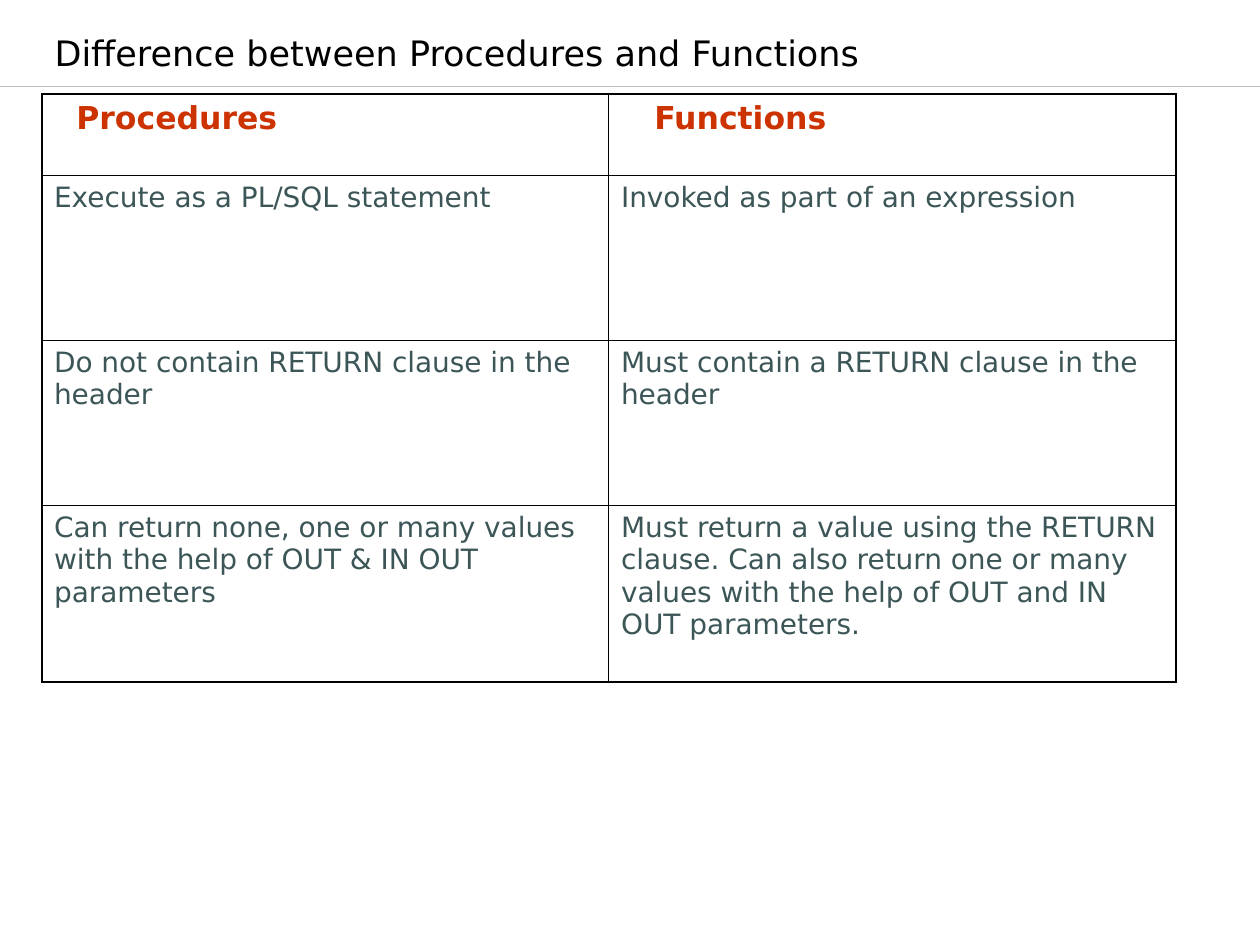
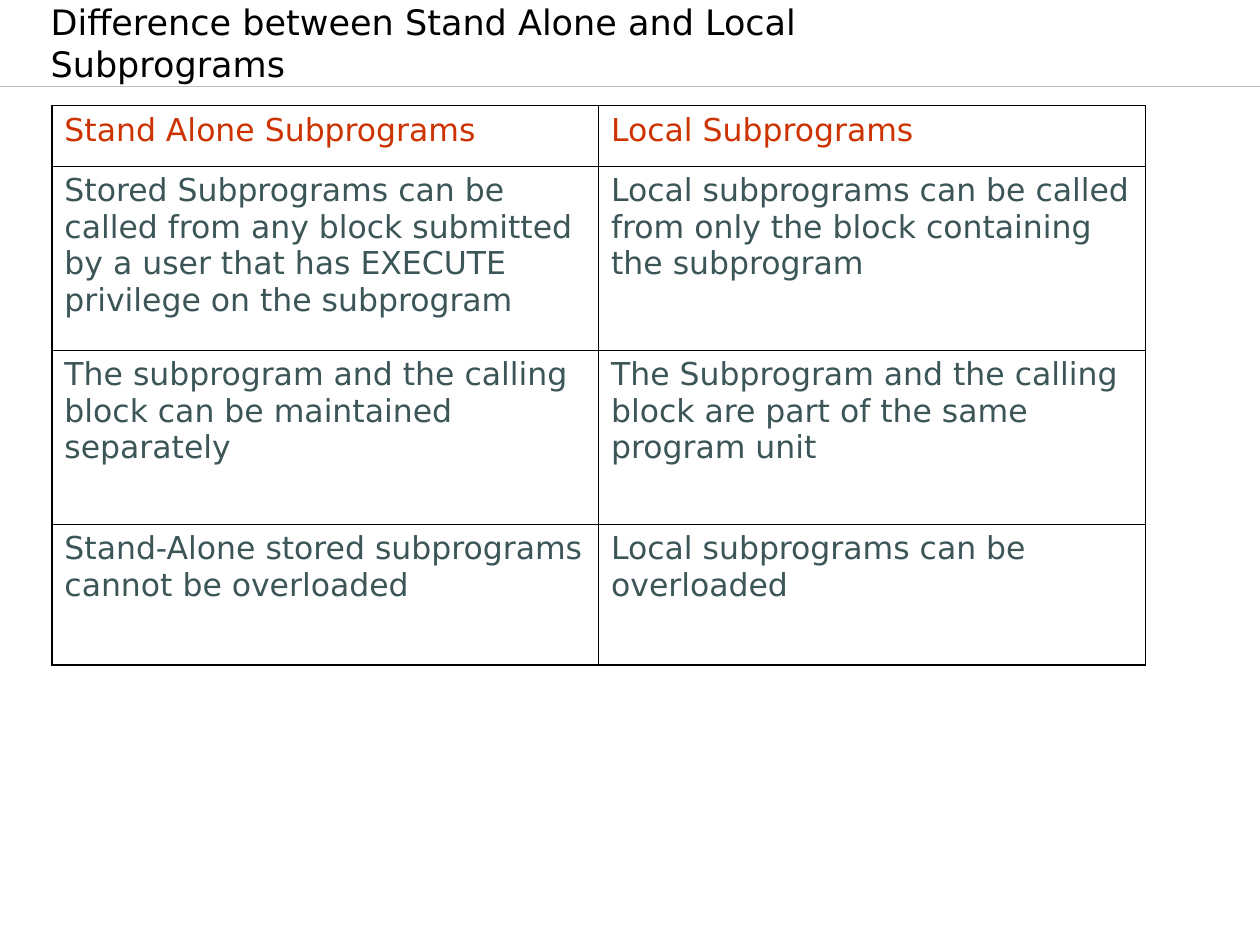
from lxml import etree
from pptx import Presentation
from pptx.dml.color import RGBColor
from pptx.enum.text import MSO_ANCHOR, MSO_AUTO_SIZE, PP_ALIGN
from pptx.enum.shapes import MSO_CONNECTOR
from pptx.oxml.ns import qn
from pptx.util import Cm, Pt

LEFT = PP_ALIGN.LEFT
BOTTOM = MSO_ANCHOR.BOTTOM
NO_FIT = MSO_AUTO_SIZE.NONE
STRAIGHT = MSO_CONNECTOR.STRAIGHT

FONT = "DejaVu Sans"
BLACK, RED, SLATE, SILVER = "000000", "CC3300", "3C5658", "C0C0C0"
OUTER, INNER = Pt(1.08), Pt(0.45)
TITLE_FRAME = {
    "margin_left": Cm(1.02), "margin_right": Cm(0.25),
    "margin_top": Cm(0.13), "margin_bottom": Cm(0.13),
    "vertical_anchor": BOTTOM, "word_wrap": True, "auto_size": NO_FIT,
}

SLIDES = [
    {
        "title": "Difference between Procedures and Functions",
        "title_at": (0.08, 0.43),
        "table_at": (0.84, 1.9),
        "col_width": 11.43,
        "row_heights": [1.63, 3.33, 3.33, 3.56],
        "head_indents": [0.45, 0.67],
        "head_bold": True,
        "body_size": 16,
        "rows": [
            ["Procedures", "Functions"],
            ["Execute as a PL/SQL statement", "Invoked as part of an expression"],
            ["Do not contain RETURN clause in the header",
             "Must contain a RETURN clause in the header"],
            ["Can return none, one or many values with the help of OUT & IN OUT parameters",
             "Must return a value using the RETURN clause. Can also return one or many "
             "values with the help of OUT and IN OUT parameters."],
        ],
    },
    {
        "title": "Difference between Stand Alone and Local Subprograms",
        "title_at": (0, 0.64),
        "table_at": (1.05, 2.13),
        "col_width": 11.02,
        "row_heights": [1.22, 3.71, 3.51, 2.84],
        "head_indents": [0, 0],
        "head_bold": False,
        "body_size": 18,
        "rows": [
            ["Stand Alone Subprograms", "Local Subprograms"],
            ["Stored Subprograms can be called from any block submitted by a user "
             "that has EXECUTE privilege on the subprogram",
             "Local subprograms can be called from only the block containing the subprogram"],
            ["The subprogram and the calling block can be maintained separately",
             "The Subprogram and the calling block are part of the same program unit"],
            ["Stand-Alone stored subprograms cannot be overloaded",
             "Local subprograms can be overloaded"],
        ],
    },
]


def write(p, text, size, color, bold=False):
    p.alignment = LEFT
    r = p.add_run()
    r.text = text
    for name, value in {"name": FONT, "size": Pt(size), "bold": bold}.items():
        setattr(r.font, name, value)
    r.font.color.rgb = RGBColor.from_string(color)


def set_borders(cell, widths):
    tcPr = cell._tc.get_or_add_tcPr()
    for side, width in widths.items():
        ln = etree.SubElement(tcPr, qn("a:ln" + side), w=str(width))
        fill = etree.SubElement(ln, qn("a:solidFill"))
        etree.SubElement(fill, qn("a:srgbClr"), val=BLACK)


prs = Presentation()
prs.slide_width, prs.slide_height = Cm(25.4), Cm(19.05)

for spec_data in SLIDES:
    s = prs.slides.add_slide(prs.slide_layouts[5])

    rule = s.shapes.add_connector(STRAIGHT, 0, Cm(1.75), prs.slide_width, Cm(1.75))
    rule.line.color.rgb = RGBColor.from_string(SILVER)
    rule.line.width = Pt(0.75)
    etree.SubElement(rule._element.spPr, qn("a:effectLst"))

    title = s.shapes.title
    title.left, title.top = [Cm(v) for v in spec_data["title_at"]]
    title.width, title.height = Cm(18.57), Cm(1.19)
    tf = title.text_frame
    for name, value in TITLE_FRAME.items():
        setattr(tf, name, value)
    write(tf.paragraphs[0], spec_data["title"], 20, BLACK)

    rows, heights = spec_data["rows"], spec_data["row_heights"]
    col_width = spec_data["col_width"]
    x, y = spec_data["table_at"]
    last_row, last_col = len(rows) - 1, len(rows[0]) - 1
    table = s.shapes.add_table(len(rows), len(rows[0]), Cm(x), Cm(y),
                               Cm(col_width * len(rows[0])), Cm(sum(heights))).table
    table.first_row = table.horz_banding = False
    for col in table.columns:
        col.width = Cm(col_width)

    for i, texts in enumerate(rows):
        table.rows[i].height = Cm(heights[i])
        head = i == 0
        size = 18 if head else spec_data["body_size"]
        for j, text in enumerate(texts):
            cell = table.cell(i, j)
            set_borders(cell, {
                "L": OUTER if j == 0 else INNER,
                "R": OUTER if j == last_col else INNER,
                "T": OUTER if head else INNER,
                "B": OUTER if i == last_row else INNER,
            })
            cell.fill.background()
            indent = spec_data["head_indents"][j] if head else 0
            cell.margin_left = Cm(0.25 + indent)
            p = cell.text_frame.paragraphs[0]
            p.space_before = Pt(size / 4)
            write(p, text, size, RED if head else SLATE, head and spec_data["head_bold"])

prs.save("out.pptx")
